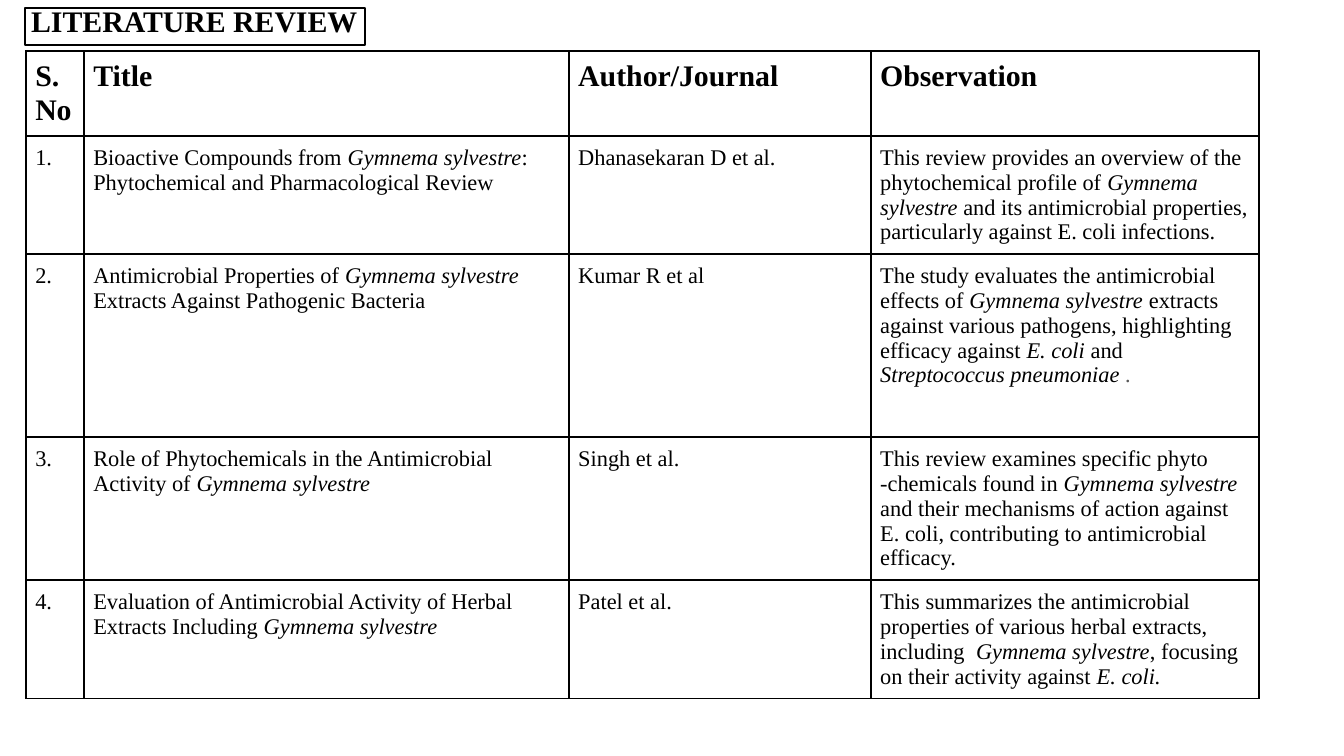
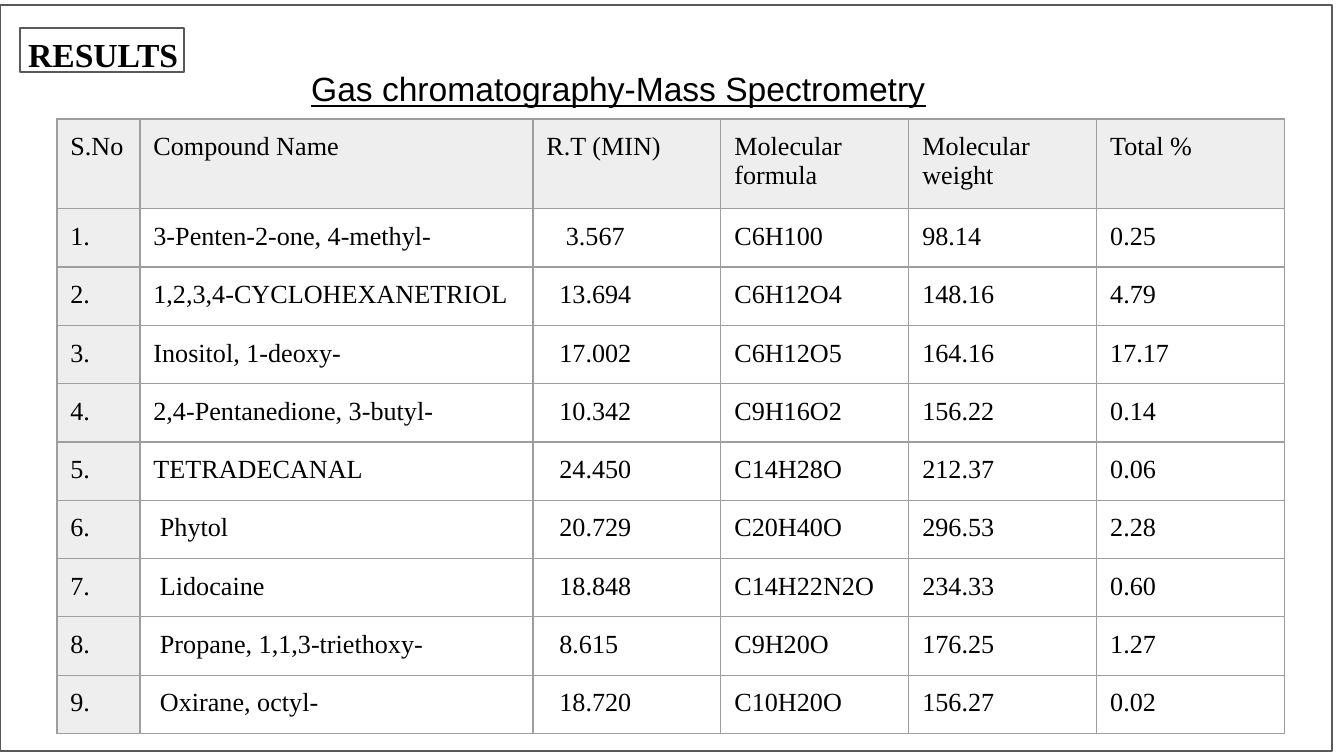
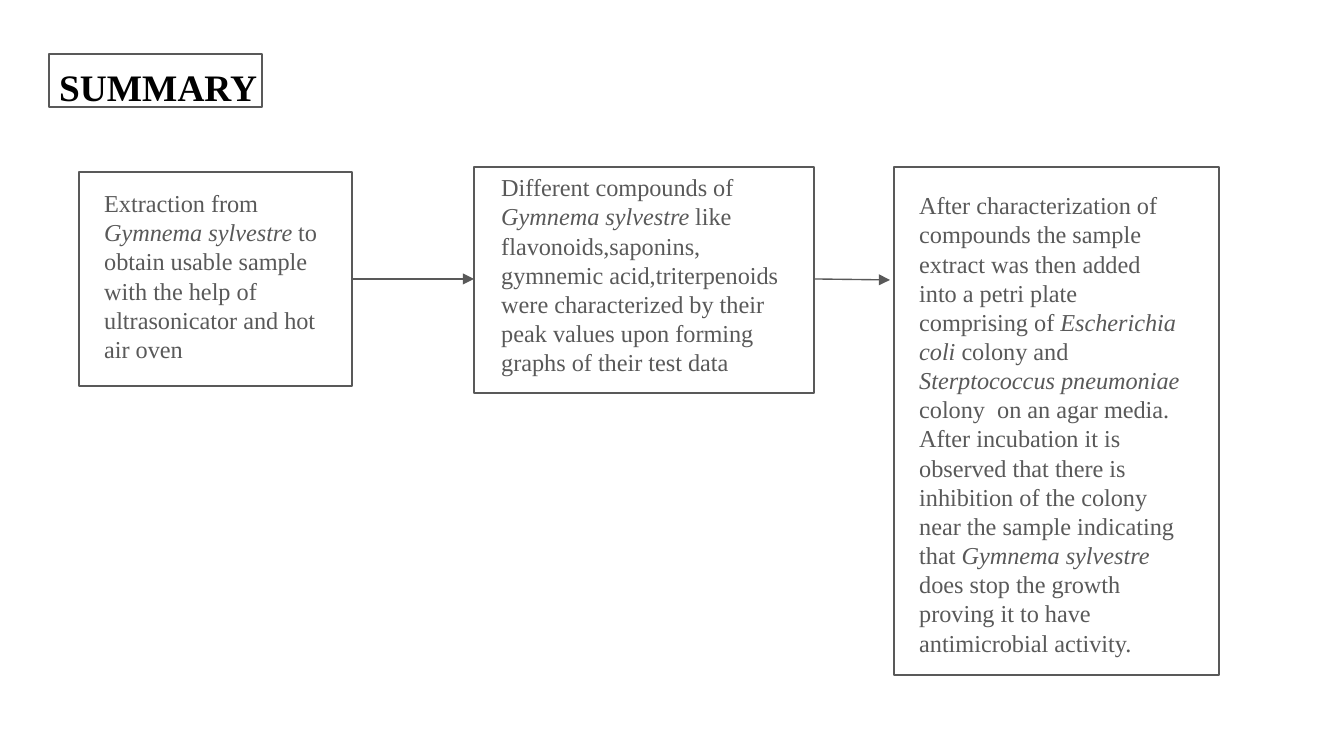
from lxml import etree
from pptx import Presentation
from pptx.dml.color import RGBColor
from pptx.enum import shapes, text
from pptx.oxml import ns
from pptx.util import Pt

# Content: *...* marks italics, a new line starts a paragraph
REVIEW = [
    ("S.No", "Title", "Author/Journal", "Observation"),
    ("1.",
     "Bioactive Compounds from* Gymnema sylvestre*: Phytochemical and Pharmacological Review",
     "Dhanasekaran D et al.",
     "This review provides an overview of the phytochemical profile of *Gymnema sylvestre* "
     "and its antimicrobial properties, particularly against E. coli infections."),
    ("2.",
     "Antimicrobial Properties of *Gymnema sylvestre *Extracts Against Pathogenic Bacteria",
     "Kumar R et al",
     "The study evaluates the antimicrobial effects of *Gymnema sylvestre* extracts against "
     "various pathogens, highlighting efficacy against *E. coli *and "
     "*Streptococcus pneumoniae** .*"),
    ("3.",
     "Role of Phytochemicals in the Antimicrobial Activity of *Gymnema sylvestre*",
     "Singh et al.",
     "This review examines specific phyto\n-chemicals found in *Gymnema sylvestre *and their "
     "mechanisms of action against E. coli, contributing to antimicrobial efficacy."),
    ("4.",
     "Evaluation of Antimicrobial Activity of Herbal Extracts Including *Gymnema sylvestre*",
     "Patel et al.",
     "This summarizes the antimicrobial properties of various herbal extracts, including  "
     "*Gymnema sylvestre*, focusing on their activity against *E. coli.*"),
]
RESULTS = [
    ("S.No", "Compound Name", "R.T (MIN)", "Molecular formula", "Molecular weight", "Total %"),
    ("1.", "3-Penten-2-one, 4-methyl-", " 3.567", "C6H100", "98.14", "0.25"),
    ("2.", "1,2,3,4-CYCLOHEXANETRIOL", "13.694", "C6H12O4", "148.16", "4.79"),
    ("3.", "Inositol, 1-deoxy-", "17.002", "C6H12O5", "164.16", "17.17"),
    ("4.", "2,4-Pentanedione, 3-butyl-", "10.342", "C9H16O2", "156.22", "0.14"),
    ("5.", "TETRADECANAL", "24.450", "C14H28O", "212.37", "0.06"),
    ("6.", " Phytol", "20.729", "C20H40O", "296.53", "2.28"),
    ("7.", " Lidocaine", "18.848", "C14H22N2O", "234.33", "0.60"),
    ("8.", " Propane, 1,1,3-triethoxy-", "8.615", "C9H20O", "176.25", "1.27"),
    ("9.", " Oxirane, octyl-", "18.720", "C10H20O", "156.27", "0.02"),
]
# Each step: frame box, text box, words
STEPS = [
    ((79, 172, 273, 214), (91, 175, 247, 134),
     "Extraction from *Gymnema sylvestre* to obtain usable sample with the help of "
     "ultrasonicator and hot air oven"),
    ((474, 167, 340, 226), (488, 159, 308, 306),
     "Different compounds of *Gymnema sylvestre* like flavonoids,saponins, gymnemic "
     "acid,triterpenoids were characterized by their peak values upon forming graphs of "
     "their test data"),
    ((894, 167, 325, 508), (906, 177, 290, 488),
     "After characterization of compounds the sample extract was then added into a petri "
     "plate comprising of *Escherichia coli *colony and *Sterptococcus pneumoniae *colony  "
     "on an agar media.\nAfter incubation it is observed that there is inhibition of the "
     "colony near the sample indicating that *Gymnema sylvestre* does stop the growth "
     "proving it to have antimicrobial activity."),
]
ARROWS = [(352, 279, 474, 279), (814, 279, 890, 280)]

# Shared look
INK = {"black": "000000", "gray": "595959", "rule": "9E9E9E", "band": "EEEEEE"}
SERIF, SANS = "Times New Roman", "Arial"
PAD = Pt(7.2)


def px(n):
    return round(n * 914400 / 134.4)


def rgb(name):
    return RGBColor.from_string(INK[name])


def write(frame, words, size=14, color="black", font=SERIF, bold=False, under=False,
          space=None):
    for i, line in enumerate(words.split("\n")):
        para = frame.paragraphs[0] if i == 0 else frame.add_paragraph()
        if space:
            para.line_spacing = space
        for j, part in enumerate(line.split("*")):
            if part:
                run = para.add_run()
                run.text = part
                face = run.font
                face.size, face.name, face.bold = Pt(size), font, bold
                face.italic, face.underline = j % 2 == 1, under
                face.color.rgb = rgb(color)


def label(slide, box, words, **style):
    frame = slide.shapes.add_textbox(*map(px, box)).text_frame
    frame.word_wrap = True
    frame.vertical_anchor = text.MSO_ANCHOR.TOP
    frame.margin_left = frame.margin_right = PAD
    frame.margin_top = frame.margin_bottom = PAD
    write(frame, words, **style)


def outline(slide, box, color="gray", width=0.75):
    rect = slide.shapes.add_shape(shapes.MSO_SHAPE.RECTANGLE, *map(px, box))
    rect.shadow.inherit = False
    rect.fill.background()
    rect.line.color.rgb = rgb(color)
    rect.line.width = Pt(width)


def arrow(slide, ends):
    link = slide.shapes.add_connector(shapes.MSO_CONNECTOR.STRAIGHT, *map(px, ends))
    link.line.color.rgb = rgb("gray")
    link.line.width = Pt(0.75)
    etree.SubElement(link.line._get_or_add_ln(), ns.qn("a:tailEnd"), type="triangle")
    etree.SubElement(link._element.spPr, ns.qn("a:effectLst"))


def border(cell, color, width):
    props = cell._tc.get_or_add_tcPr()
    for i, side in enumerate(("lnL", "lnR", "lnT", "lnB")):
        line = etree.Element(ns.qn("a:" + side), w=str(Pt(width)))
        fill = etree.SubElement(line, ns.qn("a:solidFill"))
        etree.SubElement(fill, ns.qn("a:srgbClr"), val=INK[color])
        props.insert(i, line)


def grid(slide, spot, cols, rows, data, style, pad=PAD, rule="black", width=1, band=None):
    """style(r, c) gives the text format of a cell and its extra indent."""
    shape = slide.shapes.add_table(len(rows), len(cols), *map(px, (*spot, sum(cols), sum(rows))))
    table = shape.table
    table.first_row = table.horz_banding = False
    for col, wide in zip(table.columns, cols):
        col.width = px(wide)
    for row, high in zip(table.rows, rows):
        row.height = px(high)
    for r, line in enumerate(data):
        for c, words in enumerate(line):
            cell = table.cell(r, c)
            form, indent = style(r, c)
            cell.margin_left = pad + px(indent)
            cell.margin_right = cell.margin_top = cell.margin_bottom = pad
            if band and 0 in (r, c):
                cell.fill.solid()
                cell.fill.fore_color.rgb = rgb(band)
            else:
                cell.fill.background()
            border(cell, rule, width)
            write(cell.text_frame, words, **form)
    return table


def review(slide):
    def style(r, c):
        return (dict(size=12) if r else dict(size=16, bold=True)), 0

    table = grid(slide, (26, 51), (58, 485, 302, 388), (85, 118, 183, 143, 118),
                 REVIEW, style, pad=Pt(5))
    # The closing full stop of study 2 is gray
    stop = table.cell(2, 3).text_frame.paragraphs[0].runs[-1]
    stop.font.color.rgb = rgb("gray")
    label(slide, (18, -4, 1093, 20), "LITERATURE REVIEW", size=16, bold=True)
    outline(slide, (25, 8, 340, 37), color="black")


def results(slide):
    def style(r, c):
        return dict(size=14), 13 if r and c == 2 else 0

    label(slide, (15, 15, 741, 56), "RESULTS", size=18, bold=True, space=1.15)
    outline(slide, (20, 28, 164, 44))
    outline(slide, (0, 5, 1332, 746), width=1.5)
    label(slide, (298, 55, 710, 69), "Gas chromatography-Mass Spectrometry",
          size=18, font=SANS, under=True)
    rows = (85,) + (56,) * (len(RESULTS) - 1)
    grid(slide, (57, 119), (83, 393) + (188,) * 4, rows, RESULTS, style,
         rule="rule", width=0.75, band="band")


def summary(slide):
    label(slide, (46, 44, 1253, 79), "SUMMARY", size=20, bold=True, space=1.15)
    outline(slide, (49, 54, 213, 53))
    for frame, box, words in STEPS:
        outline(slide, frame)
        label(slide, box, words, size=13, color="gray")
    for ends in ARROWS:
        arrow(slide, ends)


def main():
    deck = Presentation()
    deck.slide_width, deck.slide_height = px(1344), px(756)
    for build in (review, results, summary):
        build(deck.slides.add_slide(deck.slide_layouts[6]))
    deck.save("out.pptx")


if __name__ == "__main__":
    main()
